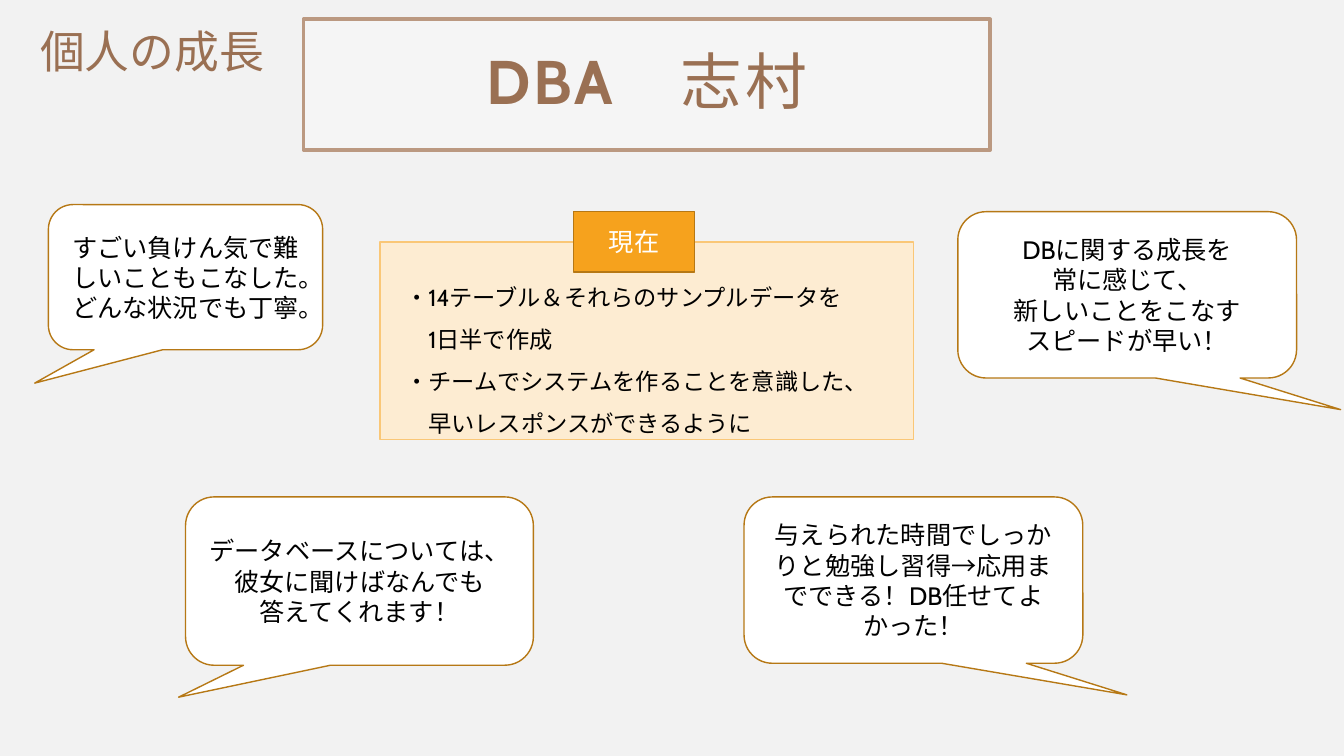
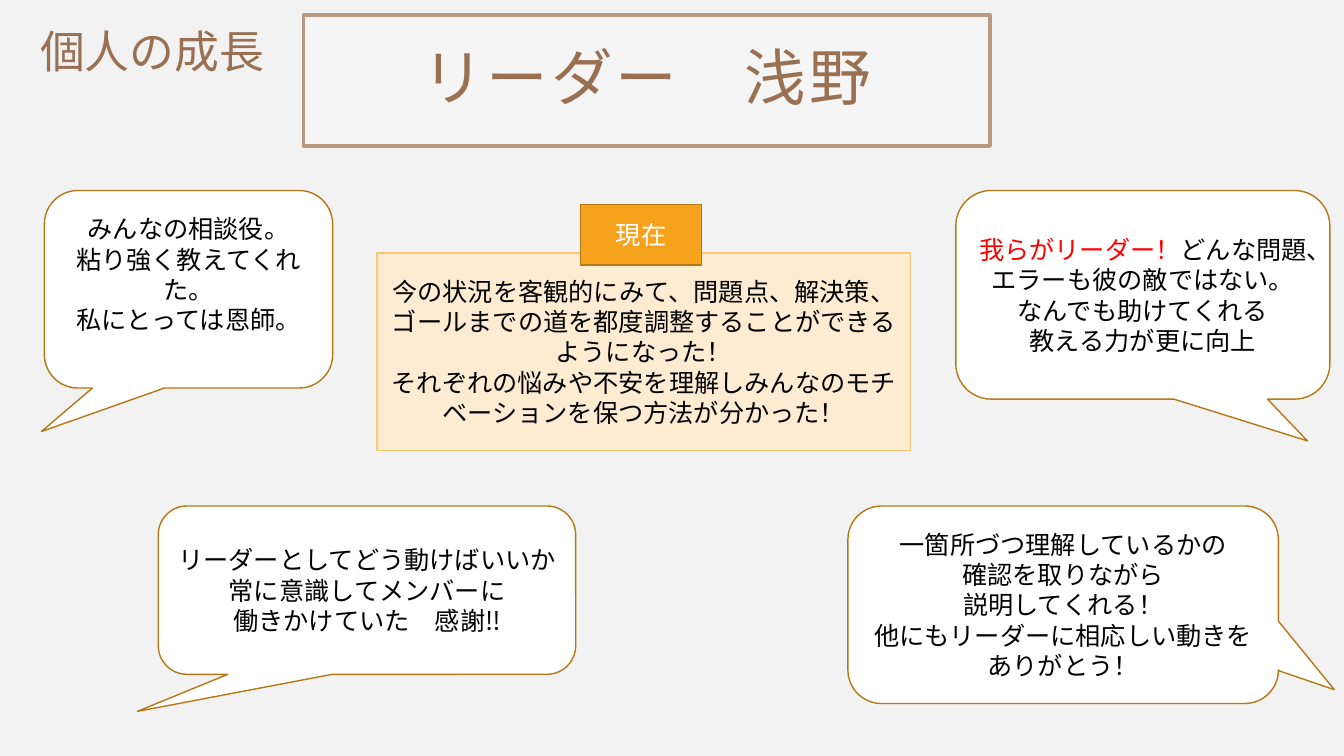
from pptx import Presentation
from pptx.dml.color import RGBColor
from pptx.enum.shapes import MSO_SHAPE
from pptx.enum.text import MSO_ANCHOR, PP_ALIGN
from pptx.oxml.ns import qn
from pptx.util import Inches, Pt
from lxml.etree import SubElement

# Shared look
BACK, WHITE, BLACK, RED = "F2F2F2", "FFFFFF", "000000", "FF0000"
BROWN, FRAME = "9A7053", "BB9981"
ORANGE, EDGE = "F6A21D", "B67815"
CREAM, GOLD = "FDECD2", "FAC777"
FONT, GOTHIC = "Cabin", "Noto Sans CJK JP"
HEADING, NOW = "個人の成長", "現在"
PLAIN = {"font": GOTHIC}
STEP = 0.23  # indent of one full-width character

# Content: a paragraph is a string or a list of (text, format) runs.
# A bubble is (box, tail, paragraphs, bottom inset).
SLIDES = [
    {
        "title": [("DBA", {"bold": True}), ("　志村", {})],
        "top": 0.19,
        "panel": (3.77, 2.4),
        "tag": (5.69, 2.1),
        "notes": [
            (0, [("・14", {}), ("テーブル＆それらのサンプルデータを", PLAIN)]),
            (STEP, [("1", {}), ("日半で作成", PLAIN)]),
            (0, [("・チームでシステムを作ることを意識した、", PLAIN)]),
            (STEP, [("早いレスポンスができるように", PLAIN)]),
        ],
        "bubbles": [
            ((0.48, 2.03, 2.72, 1.44), (-0.55, 0.73),
             ["すごい負けん気で難しいこともこなした。", "どんな状況でも丁寧。"], 0.05),
            ((1.84, 4.93, 3.45, 1.67), (-0.52, 0.69),
             ["データベースについては、彼女に聞けばなんでも", "答えてくれます！"], 0.05),
            ((7.38, 4.93, 3.36, 1.65), (0.63, 0.69),
             ["与えられた時間でしっかりと勉強し習得→応用までできる！DB任せてよかった！"], 0.05),
            ((9.5, 2.1, 3.36, 1.65), (0.63, 0.69),
             ["DBに関する成長を", "常に感じて、", "新しいことをこなす",
              "スピードが早い！"], 0.05),
        ],
    },
    {
        "title": "リーダー　浅野",
        "top": 0.15,
        "panel": (3.74, 2.51),
        "tag": (5.76, 2.03),
        "summary": [
            "今の状況を客観的にみて、問題点、解決策、"
            "ゴールまでの道を都度調整することができるようになった！",
            "それぞれの悩みや不安を理解しみんなのモチベーションを保つ方法が分かった！",
        ],
        "bubbles": [
            ((0.44, 1.89, 2.86, 1.96), (-0.51, 0.72),
             ["みんなの相談役。", "粘り強く教えてくれた。", "私にとっては恩師。"], 0.35),
            ((9.48, 1.89, 3.71, 2.07), (0.44, 0.7),
             [[("我らがリーダー！", {"color": RED}),
               ("どんな問題、エラーも彼の敵ではない。", {})],
              "なんでも助けてくれる", "教える力が更に向上"], 0.05),
            ((1.57, 5.02, 4.14, 1.67), (-0.55, 0.72),
             ["リーダーとしてどう動けばいいか常に意識してメンバーに",
              "働きかけていた　感謝‼"], 0.05),
            ((8.41, 5.02, 4.27, 1.96), (0.63, 0.43),
             ["一箇所づつ理解しているかの", "確認を取りながら", "説明してくれる！",
              "他にもリーダーに相応しい動きを", "ありがとう！"], 0.05),
        ],
    },
]


def rgb(code):
    return RGBColor.from_string(code)


def style(run, size, color, font=FONT, bold=False, track=0):
    run.font.size, run.font.bold = Pt(size), bold
    run.font.name = font
    run.font.color.rgb = rgb(color)
    props = run._r.get_or_add_rPr()
    SubElement(props, qn("a:ea")).set("typeface", FONT)
    if track:
        props.set("spc", str(track * 100))


def write(shape, paras, size=18, color=BLACK, font=FONT, align=PP_ALIGN.CENTER,
          anchor=MSO_ANCHOR.MIDDLE, track=0, lines=None, gap=0,
          inset=(0.1, 0.05, 0.1, 0.05), indents=()):
    frame = shape.text_frame
    frame.word_wrap, frame.vertical_anchor = True, anchor
    (frame.margin_left, frame.margin_top,
     frame.margin_right, frame.margin_bottom) = map(Inches, inset)
    for i, runs in enumerate(paras):
        para = frame.add_paragraph() if i else frame.paragraphs[0]
        para.alignment = align
        if lines:
            para.line_spacing = lines
        if i and gap:
            para.space_before = Pt(gap)
        if indents and indents[i]:
            para._p.get_or_add_pPr().set("marL", str(Inches(indents[i])))
        for text, extra in [(runs, {})] if isinstance(runs, str) else runs:
            run = para.add_run()
            run.text = text
            base = {"size": size, "color": color, "font": font, "track": track}
            style(run, **{**base, **extra})


def block(slide, kind, box, fill, line, width=1, alpha=None):
    shape = slide.shapes.add_shape(kind, *map(Inches, box))
    shape.shadow.inherit = False
    shape.fill.solid()
    shape.fill.fore_color.rgb = rgb(fill)
    if alpha:
        color = shape._element.spPr.find(qn("a:solidFill"))[0]
        SubElement(color, qn("a:alpha")).set("val", str(alpha * 1000))
    shape.line.color.rgb = rgb(line)
    shape.line.width = Pt(width)
    return shape


def label(slide, box, paras, **form):
    shape = slide.shapes.add_textbox(*map(Inches, box))
    write(shape, paras, align=PP_ALIGN.LEFT, anchor=MSO_ANCHOR.TOP, **form)


def bubble(slide, box, tail, paras, low):
    shape = block(slide, MSO_SHAPE.ROUNDED_RECTANGULAR_CALLOUT, box, WHITE, EDGE)
    for i, value in enumerate((*tail, 0.17)):
        shape.adjustments[i] = value
    write(shape, paras, inset=(0.1, 0.05, 0.1, low))


def build(deck, data):
    slide = deck.slides.add_slide(deck.slide_layouts[6])
    slide.background.fill.solid()
    slide.background.fill.fore_color.rgb = rgb(BACK)
    rect = MSO_SHAPE.RECTANGLE

    # Heading and name frame
    label(slide, (0.3, 0.19, 2.97, 0.7), [HEADING], size=32, color=BROWN)
    name = block(slide, rect, (3.01, data["top"], 6.81, 1.3), WHITE, FRAME, 2.5, 30)
    write(name, [data["title"]], size=44, color=BROWN, track=2, lines=0.9,
          inset=(0.2,) * 4)

    # Panel with its tag
    left, top = data["panel"]
    panel = block(slide, rect, (left, top, 5.29, 1.96), CREAM, GOLD)
    if "summary" in data:
        write(panel, data["summary"], font=GOTHIC)
    tag = block(slide, rect, (*data["tag"], 1.2, 0.6), ORANGE, EDGE)
    write(tag, [NOW], color=WHITE)
    if "notes" in data:
        indents, paras = zip(*data["notes"])
        label(slide, (left + 0.15, top + 0.36, 4.98, 1.67), paras,
              size=16.6, gap=10, indents=indents)

    # Comments from the team
    for item in data["bubbles"]:
        bubble(slide, *item)


def main():
    deck = Presentation()
    deck.slide_width, deck.slide_height = Inches(13.33), Inches(7.5)
    for data in SLIDES:
        build(deck, data)
    deck.save("out.pptx")


if __name__ == "__main__":
    main()
